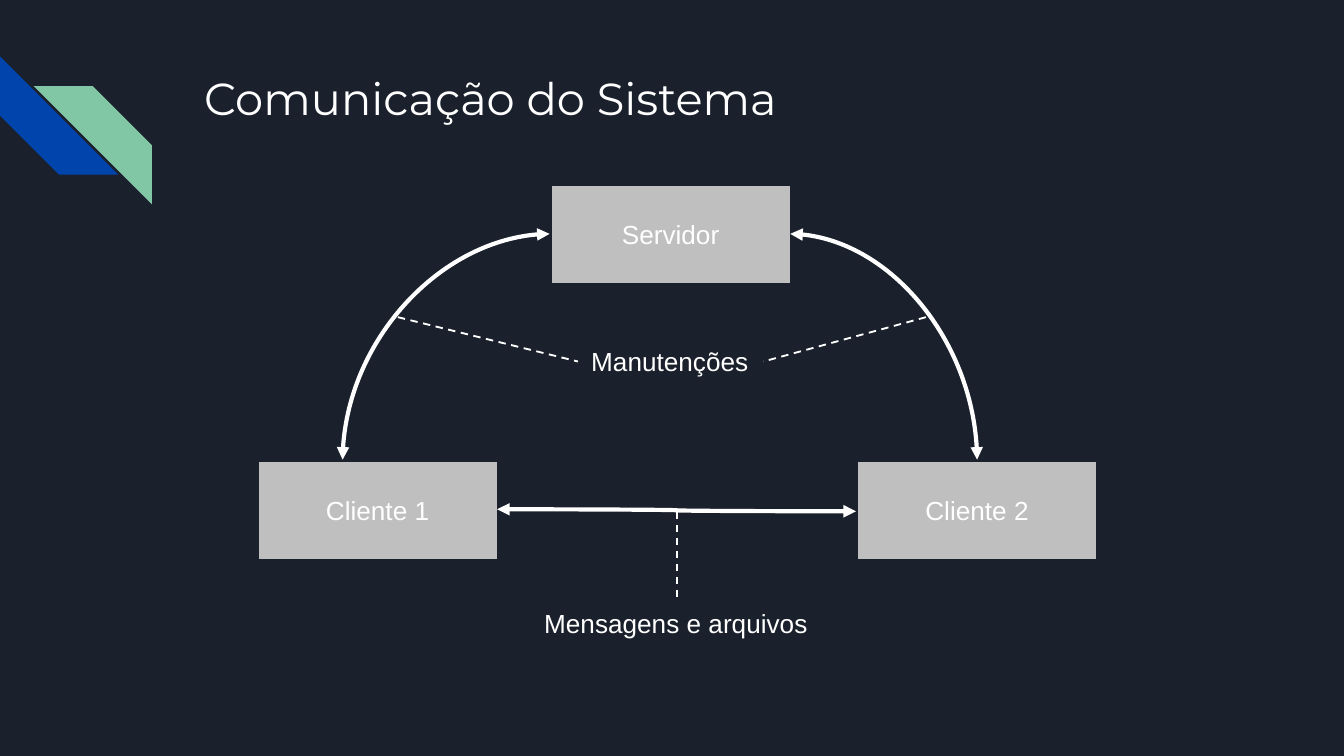
from dataclasses import dataclass
from typing import Any, Optional

from lxml.etree import SubElement
from pptx import Presentation
from pptx.dml.color import RGBColor
from pptx.enum.dml import MSO_LINE
from pptx.enum.shapes import MSO_CONNECTOR, MSO_SHAPE
from pptx.enum.text import MSO_ANCHOR, MSO_AUTO_SIZE, PP_ALIGN
from pptx.oxml.ns import qn
from pptx.util import Emu, Pt

EMU_PER_PX = 4572


@dataclass(frozen=True)
class Theme:
    background: str = "1B212C"
    blue: str = "0145AC"
    green: str = "82C7A5"
    node: str = "BFBFBF"
    white: str = "FFFFFF"
    body_font: str = "Arial"
    title_font: str = "Montserrat"
    body_size: int = 14
    title_size: int = 24
    border_width: float = 2
    curve_width: float = 2.25
    dash_width: float = 1


THEME = Theme()


@dataclass(frozen=True)
class Area:
    left: int
    top: int
    width: int
    height: int

    def to_emu(self) -> list[Emu]:
        return [px(side) for side in (self.left, self.top, self.width, self.height)]


@dataclass(frozen=True)
class Stripe:
    area: Area
    color: str
    format: dict[str, str]


@dataclass(frozen=True)
class Node:
    text: str
    area: Area


@dataclass(frozen=True)
class Label:
    text: str
    area: Area
    frame: dict[str, Any]
    font: str = THEME.body_font
    size: int = THEME.body_size


@dataclass(frozen=True)
class Curve:
    start: tuple[int, int]
    end: tuple[int, int]
    preset: str


@dataclass(frozen=True)
class Pointer:
    start: tuple[int, int]
    label: str
    side: int


GROWING = {"word_wrap": True, "auto_size": MSO_AUTO_SIZE.SHAPE_TO_FIT_TEXT}
TITLE_FRAME = {"word_wrap": True, "vertical_anchor": MSO_ANCHOR.TOP,
               "margin_top": Emu(20 * EMU_PER_PX), "margin_bottom": Emu(20 * EMU_PER_PX)}

STRIPES = [
    Stripe(Area(0, 84, 176, 176), THEME.blue, {"rot": "16200000"}),
    Stripe(Area(50, 128, 176, 176), THEME.green, {"flipH": "1"}),
]
NODES = [
    Node("Servidor", Area(818, 274, 360, 150)),
    Node("Cliente 1", Area(382, 684, 360, 150)),
    Node("Cliente 2", Area(1274, 684, 360, 150)),
]
LABELS = [
    Label("Comunicação do Sistema", Area(284, 86, 1540, 200), TITLE_FRAME,
          THEME.title_font, THEME.title_size),
    Label("Manutenções", Area(860, 504, 276, 68), GROWING),
    Label("Mensagens e arquivos", Area(790, 894, 436, 68), GROWING | {"word_wrap": False}),
]
CURVES = [
    Curve((818, 348), (510, 684), "curvedConnector2"),
    Curve((1176, 348), (1454, 684), "curvedConnector2"),
    Curve((1274, 761), (740, 758), "curvedConnector3"),
]
POINTERS = [
    Pointer((592, 472), "Manutenções", 1),
    Pointer((1378, 472), "Manutenções", 3),
    Pointer((1008, 762), "Mensagens e arquivos", 0),
]


def px(length: int) -> Emu:
    return Emu(length * EMU_PER_PX)


def rgb(color: str) -> RGBColor:
    return RGBColor.from_string(color)


def apply_format(target: Any, values: dict[str, Any]) -> None:
    for name, value in values.items():
        setattr(target, name, value)


def write_text(frame: Any, text: str, font: str, size: int,
               alignment: Optional[PP_ALIGN] = None) -> None:
    para = frame.paragraphs[0]
    para.alignment = alignment
    span = para.add_run()
    span.text = text
    apply_format(span.font, {"name": font, "size": Pt(size)})
    span.font.color.rgb = rgb(THEME.white)


def draw_shape(page: Any, preset: MSO_SHAPE, area: Area, color: str) -> Any:
    shape = page.shapes.add_shape(preset, *area.to_emu())
    shape.shadow.inherit = False
    shape.fill.solid()
    shape.fill.fore_color.rgb = rgb(color)
    return shape


def draw_stripe(page: Any, stripe: Stripe) -> None:
    shape = draw_shape(page, MSO_SHAPE.DIAGONAL_STRIPE, stripe.area, stripe.color)
    shape.line.fill.background()
    transform = shape.element.spPr.find(qn("a:xfrm"))
    for name, value in stripe.format.items():
        transform.set(name, value)


def draw_node(page: Any, node: Node) -> None:
    box = draw_shape(page, MSO_SHAPE.RECTANGLE, node.area, THEME.node)
    box.line.color.rgb = rgb(THEME.background)
    box.line.width = Pt(THEME.border_width)
    box.text_frame.vertical_anchor = MSO_ANCHOR.MIDDLE
    write_text(box.text_frame, node.text, THEME.body_font, THEME.body_size, PP_ALIGN.CENTER)


def draw_label(page: Any, label: Label) -> Any:
    box = page.shapes.add_textbox(*label.area.to_emu())
    apply_format(box.text_frame, label.frame)
    write_text(box.text_frame, label.text, label.font, label.size)
    return box


def draw_connector(page: Any, kind: MSO_CONNECTOR, start: tuple[int, int],
                   end: tuple[int, int], line_format: dict[str, Any]) -> Any:
    connector = page.shapes.add_connector(kind, *map(px, start + end))
    connector.line.color.rgb = rgb(THEME.white)
    apply_format(connector.line, line_format)
    SubElement(connector.element.spPr, qn("a:effectLst"))
    return connector


def draw_curve(page: Any, curve: Curve) -> None:
    connector = draw_connector(page, MSO_CONNECTOR.CURVE, curve.start, curve.end,
                               {"width": Pt(THEME.curve_width)})
    properties = connector.element.spPr
    properties.find(qn("a:prstGeom")).set("prst", curve.preset)
    for tag in ("a:headEnd", "a:tailEnd"):
        SubElement(properties.find(qn("a:ln")), qn(tag), type="triangle")


def draw_pointer(page: Any, pointer: Pointer, box: Any) -> None:
    connector = draw_connector(page, MSO_CONNECTOR.STRAIGHT, pointer.start, pointer.start,
                               {"width": Pt(THEME.dash_width), "dash_style": MSO_LINE.DASH})
    connector.end_connect(box, pointer.side)


def main() -> None:
    deck = Presentation()
    apply_format(deck, {"slide_width": px(2000), "slide_height": px(1125)})
    page = deck.slides.add_slide(deck.slide_layouts[6])
    page.background.fill.solid()
    page.background.fill.fore_color.rgb = rgb(THEME.background)
    for stripe in STRIPES:
        draw_stripe(page, stripe)
    for node in NODES:
        draw_node(page, node)
    for curve in CURVES:
        draw_curve(page, curve)
    boxes = {label.text: draw_label(page, label) for label in LABELS}
    for pointer in POINTERS:
        draw_pointer(page, pointer, boxes[pointer.label])
    deck.save("out.pptx")


if __name__ == "__main__":
    main()
